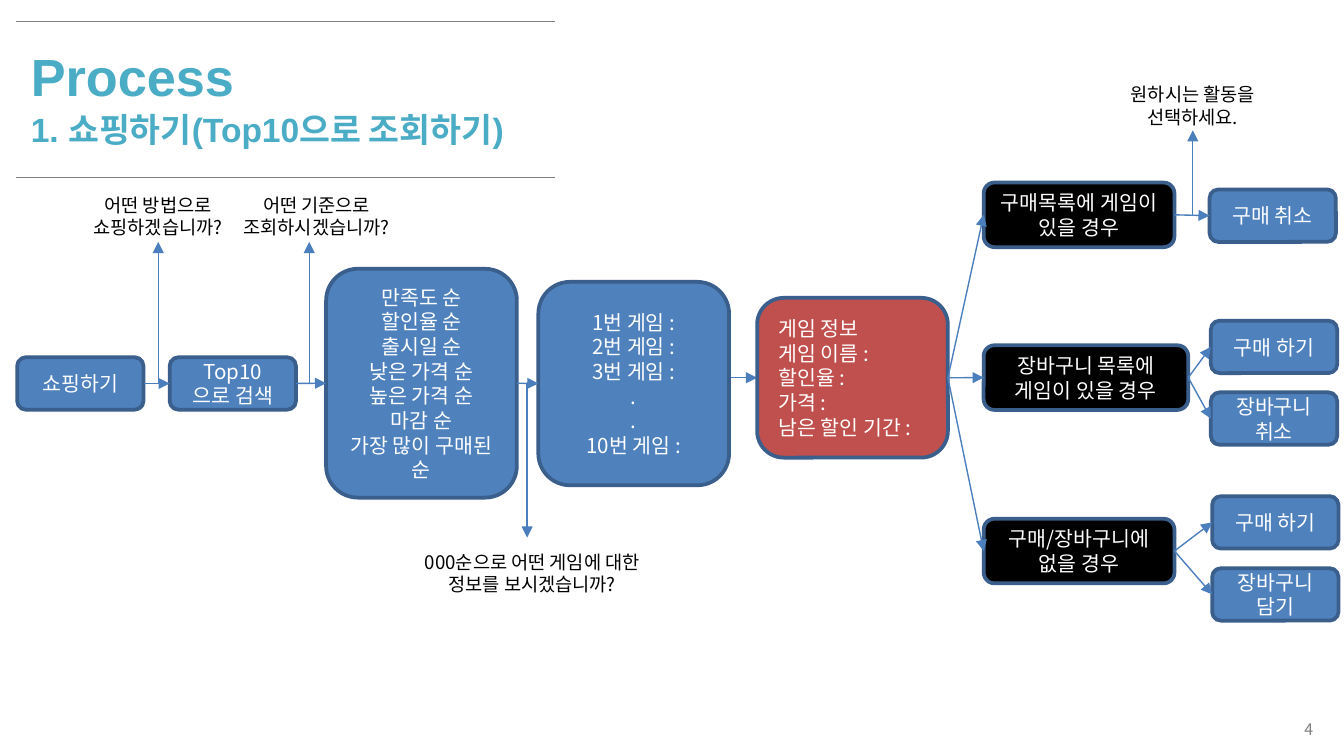
from lxml import etree
from pptx import Presentation
from pptx.dml.color import RGBColor
from pptx.enum import shapes, text
from pptx.oxml import ns
from pptx.util import Pt

# ---- Content (lengths in points) ----
COLORS = {
    "title": "4BACC6", "rule": "808080", "arrow": "4B7EBC", "border": "3A5F8C",
    "step": "4F81BD", "info": "C0504D", "branch": "000000",
    "light": "FFFFFF", "dark": "000000",
}
KOREAN = "Noto Sans CJK KR"
CENTER, LEFT, RIGHT = (text.PP_ALIGN.CENTER, text.PP_ALIGN.LEFT, text.PP_ALIGN.RIGHT)
MIDDLE, TOP = text.MSO_ANCHOR.MIDDLE, text.MSO_ANCHOR.TOP

RULES = [11.5, 95]
RULE_X = (8.6, 297.4)
TITLE = [("Process", 28, 35), ("1. 쇼핑하기(Top10으로 조회하기)", 18, 22.5)]

SIZES = {"small": (67.7, 28.1), "branch": (102.2, 34.6)}
RIGHT_X = 648.7
BRANCH_X = 527
# name: (style, left, top, size, lines)
BOXES = {
    "shop": ("step", 9.2, 191.4, SIZES["small"], ["쇼핑하기"]),
    "top10": ("step", 90.9, 191.4, SIZES["small"], ["Top10으로 검색"]),
    "sort": ("step", 174.7, 144, (102.2, 122.6), [
        "만족도 순", "할인율 순", "출시일 순", "낮은 가격 순",
        "높은 가격 순", "마감 순", "가장 많이 구매된 순"]),
    "games": ("step", 288.4, 151, (102.2, 109), [
        "1번 게임 :", "2번 게임 :", "3번 게임 :", ".", ".", "10번 게임 :"]),
    "info": ("info", 405.6, 159.6, (102.2, 85.6), [
        "게임 정보", "게임 이름 :", "할인율 :", "가격 :", "남은 할인 기간 :"]),
    "owned": ("branch", BRANCH_X, 97.8, SIZES["branch"], ["구매목록에 게임이 있을 경우"]),
    "in cart": ("branch", BRANCH_X, 185, (109.6, 34.6), ["장바구니 목록에 게임이 있을 경우"]),
    "neither": ("branch", BRANCH_X, 277.9, SIZES["branch"], ["구매/장바구니에 없을 경우"]),
    "refund": ("step", 648, 101.5, SIZES["small"], ["구매 취소"]),
    "buy carted": ("step", RIGHT_X, 171.8, SIZES["small"], ["구매 하기"]),
    "drop": ("step", RIGHT_X, 210.2, SIZES["small"], ["장바구니 취소"]),
    "buy new": ("step", 649.4, 265.8, SIZES["small"], ["구매 하기"]),
    "add": ("step", 649.4, 304.4, SIZES["small"], ["장바구니 담기"]),
}
STYLES = {
    "step": {"align": CENTER, "inset": 7.2},
    "info": {"align": LEFT, "inset": 7.2},
    "branch": {"align": CENTER, "inset": 5},
}
LINKS = {
    "shop": ["top10"], "top10": ["sort"], "sort": ["games"],
    "info": ["owned", "in cart", "neither"],
    "owned": ["refund"],
    "in cart": ["buy carted", "drop"],
    "neither": ["buy new", "add"],
}
# text, left, top, width, arrow x, arrow start y, arrow end y
NOTES = [
    ("어떤 방법으로 쇼핑하겠습니까?", 40.3, 100.1, 88.6, 84.8, 205.6, 129.6),
    ("어떤 기준으로 조회하시겠습니까?", 122.4, 100.4, 94.3, 165.7, 205.6, 129.6),
    ("000순으로 어떤 게임에 대한 정보를 보시겠습니까?", 214.2, 291.6, 141.8, 282.4, 205.4, 288),
    ("원하시는 활동을 선택하세요.", 594.7, 41, 88.6, 639, 115.4, 69.8),
]
NOTE_HEIGHT = 31.7

presentation = Presentation()
presentation.slide_width, presentation.slide_height = Pt(720), Pt(405)
slide = presentation.slides.add_slide(presentation.slide_layouts[6])


def color(name):
    return RGBColor.from_string(COLORS[name])


def set_all(target, values):
    for name, value in values.items():
        setattr(target, name, value)


def write(shape, lines, ink, align=CENTER, anchor=TOP, inset=7.2,
          latin=KOREAN, bold=False, hanging=0):
    """Write (text, size, line height) rows into a shape."""
    frame = shape.text_frame
    set_all(frame, {
        "word_wrap": True, "vertical_anchor": anchor,
        "margin_left": Pt(inset), "margin_right": Pt(inset),
        "margin_top": Pt(3.6), "margin_bottom": Pt(3.6)})
    for index, (words, size, height) in enumerate(lines):
        paragraph = frame.add_paragraph() if index else frame.paragraphs[0]
        set_all(paragraph, {"alignment": align, "line_spacing": Pt(height)})
        if hanging:
            properties = paragraph._p.get_or_add_pPr()
            properties.set("marL", str(Pt(hanging)))
            properties.set("indent", str(-Pt(hanging)))
        run = paragraph.add_run()
        run.text = words
        set_all(run.font, {"name": latin, "size": Pt(size), "bold": bold})
        run.font.color.rgb = color(ink)
        east_asian = etree.SubElement(run._r.get_or_add_rPr(), ns.qn("a:ea"))
        east_asian.set("typeface", KOREAN)


def add_text(left, top, width, height, lines, ink, **options):
    box = slide.shapes.add_textbox(Pt(left), Pt(top), Pt(width), Pt(height))
    write(box, lines, ink, **options)


def add_line(start, end, ink="arrow", head=True):
    line = slide.shapes.add_connector(
        shapes.MSO_CONNECTOR.STRAIGHT, *(Pt(value) for value in (*start, *end)))
    line.line.color.rgb = color(ink)
    line.line.width = Pt(0.75)
    if head:
        tail = etree.SubElement(line.line._get_or_add_ln(), ns.qn("a:tailEnd"))
        tail.set("type", "triangle")
    etree.SubElement(line._element.spPr, ns.qn("a:effectLst"))


def side(name, right):
    """Middle of the right or left edge of a box."""
    _, left, top, (width, height), _ = BOXES[name]
    return left + width * right, top + height / 2


# ---- Title and page number ----
for y in RULES:
    add_line((RULE_X[0], y), (RULE_X[1], y), "rule", head=False)
add_text(9.4, 18.7, 288.7, 63.4, TITLE, "title", align=LEFT,
         latin="Arial", bold=True, hanging=27.4)
add_text(558.7, 383, 151.9, 15.1, [("4", 8.5, 10.2)], "rule", align=RIGHT, anchor=MIDDLE)

# ---- Questions with their arrows ----
for words, left, top, width, x, start_y, end_y in NOTES:
    add_line((x, start_y), (x, end_y))
    add_text(left, top, width, NOTE_HEIGHT, [(words, 10, 12)], "dark", inset=5)

# ---- Level arrow from the game list to the game details ----
info_x, info_y = side("info", False)
add_line((side("games", True)[0], info_y), (info_x, info_y))

# ---- Boxes ----
for style, left, top, (width, height), lines in BOXES.values():
    box = slide.shapes.add_shape(
        shapes.MSO_SHAPE.ROUNDED_RECTANGLE, Pt(left), Pt(top), Pt(width), Pt(height))
    box.shadow.inherit = False
    box.fill.solid()
    box.fill.fore_color.rgb = color(style)
    box.line.color.rgb = color("border")
    box.line.width = Pt(2)
    write(box, [(words, 11, 13.2) for words in lines], "light",
          anchor=MIDDLE, **STYLES[style])

# ---- Arrows between boxes ----
for source, targets in LINKS.items():
    for target in targets:
        add_line(side(source, True), side(target, False))

presentation.save("out.pptx")
